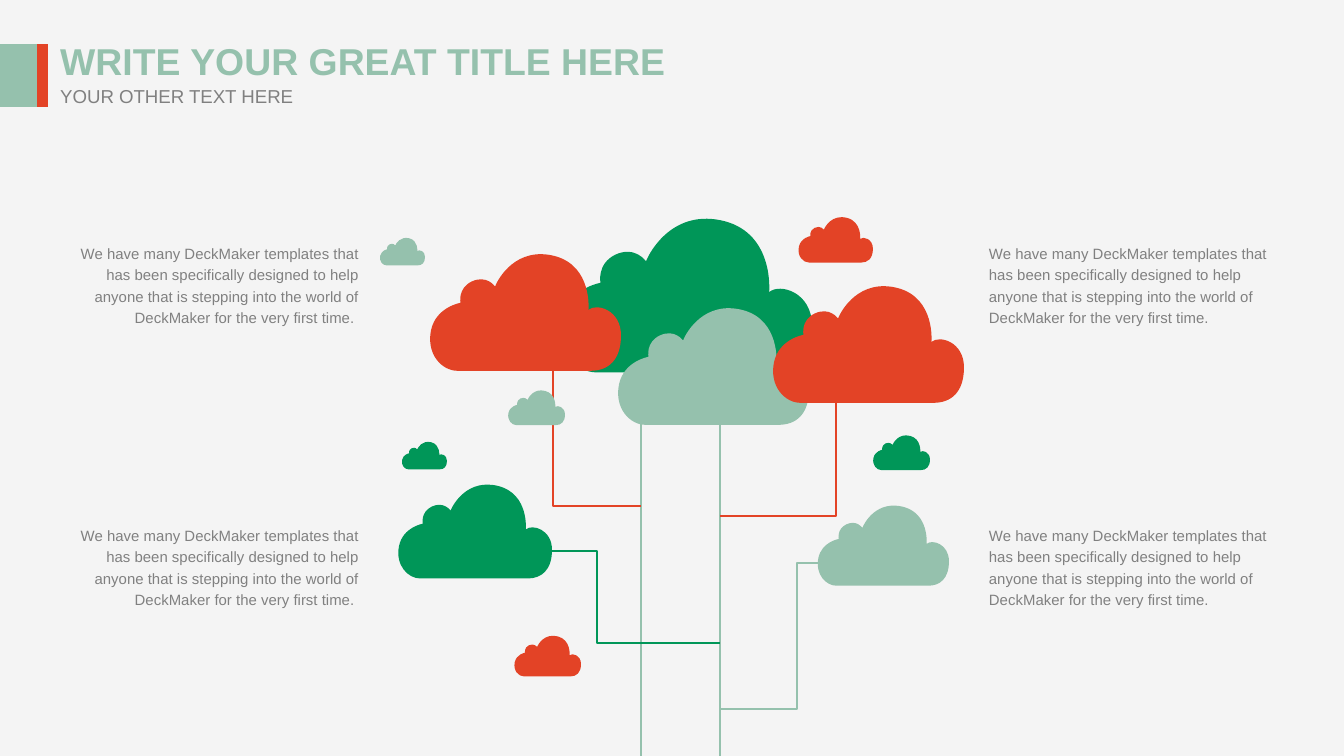
from itertools import product

from pptx import Presentation
from pptx import util as u
from pptx.dml.color import RGBColor
from pptx.enum import shapes, text
from pptx.oxml.ns import qn
from lxml import etree

EMU_PER_PX = 914400 / 134.4
WIDTH, HEIGHT = 1344, 756

MINT, RED, GREEN = "95C1AD", "E34326", "009658"
GREY, PAPER = "808080", "F4F4F4"

# Cloud outline: a start point, then three points for each Bezier curve
CLOUD_W, CLOUD_H = 192, 123
CLOUD_RATIO = 0.64
CLOUD = [
    (31, 123),
    (51, 123), (145, 123), (162, 123),
    (179, 123), (192, 113), (192, 88),
    (192, 63), (168, 56), (160, 63),
    (160, 63), (164, 20), (127, 10),
    (89, 0), (71, 32), (68, 40),
    (68, 40), (60, 28), (45, 35),
    (31, 42), (34, 56), (34, 56),
    (34, 56), (10, 60), (5, 83),
    (0, 107), (16, 123), (31, 123),
]

BODY = ("We have many DeckMaker templates that has been specifically designed "
        "to help anyone that is stepping into the world of DeckMaker for the "
        "very first time.")


def px(n):
    return u.Emu(round(n * EMU_PER_PX))


def rgb(value):
    return RGBColor.from_string(value)


def set_all(target, values):
    for name, value in values.items():
        setattr(target, name, value)


def to_curves(sp):
    """Turn each three line segments of a freeform into one Bezier curve."""
    lines = list(sp._element.iter(qn("a:lnTo")))
    for first, second, third in zip(lines[::3], lines[1::3], lines[2::3]):
        first.tag = qn("a:cubicBezTo")
        for line in (second, third):
            first.append(line[0])
            line.getparent().remove(line)


class Deck:
    font = "Arial"
    line_width = u.Pt(1)

    def __init__(self):
        self.prs = Presentation()
        set_all(self.prs, {"slide_width": px(WIDTH), "slide_height": px(HEIGHT)})
        self.s = self.prs.slides.add_slide(self.prs.slide_layouts[6])
        self.paint(self.s.background, PAPER)

    def paint(self, target, color):
        target.fill.solid()
        target.fill.fore_color.rgb = rgb(color)

    def stroke(self, sp, color):
        sp.line.color.rgb = rgb(color)
        sp.line.width = self.line_width

    def solid(self, sp, color):
        self.paint(sp, color)
        sp.line.fill.background()
        sp.shadow.inherit = False
        return sp

    def rect(self, x, y, w, h, color):
        sp = self.s.shapes.add_shape(
            shapes.MSO_SHAPE.RECTANGLE, px(x), px(y), px(w), px(h))
        return self.solid(sp, color)

    def cloud(self, x, y, w, color):
        scale = (px(w) / CLOUD_W, px(w * CLOUD_RATIO) / CLOUD_H)
        builder = self.s.shapes.build_freeform(*CLOUD[0], scale=scale)
        builder.add_line_segments(CLOUD[1:], close=True)
        sp = builder.convert_to_shape(px(x), px(y))
        to_curves(sp)
        self.solid(sp, color)

    def trunk(self, x, top, color):
        line = self.s.shapes.add_connector(
            shapes.MSO_CONNECTOR.STRAIGHT, px(x), px(top), px(x), px(HEIGHT))
        self.stroke(line, color)
        etree.SubElement(line._element.spPr, qn("a:effectLst"))

    def branch(self, points, color):
        builder = self.s.shapes.build_freeform(*points[0], scale=EMU_PER_PX)
        builder.add_line_segments(points[1:], close=False)
        sp = builder.convert_to_shape()
        sp.fill.background()
        sp.shadow.inherit = False
        self.stroke(sp, color)

    def text(self, content, box, frame, paragraph, size, color, bold=False):
        tf = self.s.shapes.add_textbox(*map(px, box)).text_frame
        set_all(tf, {"auto_size": text.MSO_AUTO_SIZE.SHAPE_TO_FIT_TEXT, **frame})
        p = tf.paragraphs[0]
        set_all(p, paragraph)
        r = p.add_run()
        r.text = content
        set_all(r.font, {"name": self.font, "size": u.Pt(size), "bold": bold})
        r.font.color.rgb = rgb(color)


def main():
    deck = Deck()

    frame = {"word_wrap": True, "margin_left": 0, "margin_right": 0,
             "margin_top": 0, "margin_bottom": 0}
    columns = [(989, text.PP_ALIGN.LEFT, BODY),
               (74, text.PP_ALIGN.RIGHT, BODY + " ")]
    for (x, align, content), y in product(columns, (241, 523)):
        deck.text(content, (x, y, 285, 86), frame,
                  {"alignment": align, "line_spacing": 1.2}, 8, GREY)

    for cloud in [
        (555, 208, 257, GREEN),
        (426, 246, 195, RED),
        (614, 300, 195, MINT),
        (769, 278, 195, RED),
        (797, 214, 76, RED),
        (379, 236, 46, MINT),
        (401, 440, 46, GREEN),
        (872, 433, 58, GREEN),
        (395, 478, 157, GREEN),
        (815, 500, 134, MINT),
        (513, 633, 68, RED),
    ]:
        deck.cloud(*cloud)

    left, right = 641, 720
    for x in (left, right):
        deck.trunk(x, 424, MINT)
    deck.branch([(553, 371), (553, 506), (left, 506)], RED)
    deck.branch([(right, 516), (836, 516), (836, 403)], RED)
    deck.branch([(818, 563), (797, 563), (797, 709), (right, 709)], MINT)
    deck.branch([(right, 643), (597, 643), (597, 551), (552, 551)], GREEN)
    deck.cloud(507, 388, 58, MINT)

    deck.text("WRITE YOUR GREAT TITLE HERE", (47, 32, 636, 58),
              {"word_wrap": False}, {}, 20, MINT, bold=True)
    deck.text("YOUR OTHER TEXT HERE", (47, 78, 261, 36),
              {"word_wrap": False}, {}, 10, GREY)
    deck.s.shapes.add_group_shape([deck.rect(37, 44, 11, 63, RED),
                                   deck.rect(0, 44, 37, 63, MINT)])

    deck.prs.save("out.pptx")


if __name__ == "__main__":
    main()
